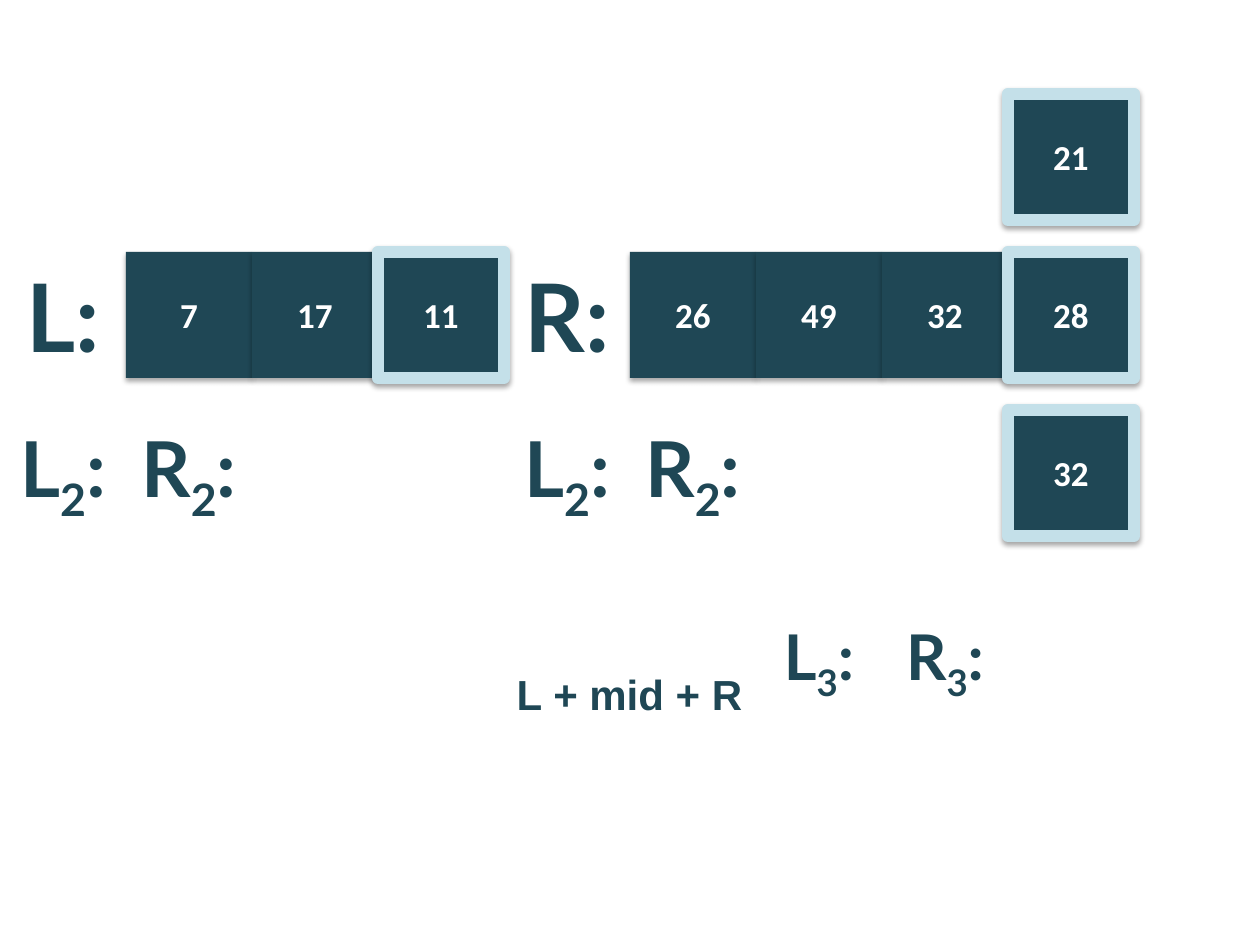
from dataclasses import dataclass

from lxml import etree
from pptx import Presentation
from pptx import util as u
from pptx.dml.color import RGBColor
from pptx.enum import shapes, text
from pptx.oxml.ns import qn

PX = u.Inches(1) / 126
CELL = 126


@dataclass(frozen=True)
class Theme:
    dark: str = "1F4755"
    pale: str = "C4E0E9"
    white: str = "FFFFFF"
    black: str = "000000"
    num_font: str = "Calibri"
    tag_font: str = "Lato"
    note_font: str = "Arial"
    num: int = 20
    note: int = 24
    small: int = 36
    mid: int = 44
    big: int = 54
    edge: int = 7


def px(n):
    return u.Emu(round(n * PX))


def write(frame, words, font, size, color, sub="", tail="",
          anchor=text.MSO_ANCHOR.MIDDLE):
    """Write centred bold text, with an optional subscript and tail."""
    frame.word_wrap = True
    frame.vertical_anchor = anchor
    para = frame.paragraphs[0]
    para.alignment = text.PP_ALIGN.CENTER
    for part, base in ((words, 0), (sub, -25000), (tail, 0)):
        if not part:
            continue
        run = para.add_run()
        run.text = part
        run.font.name = font
        run.font.size = u.Pt(size)
        run.font.bold = True
        run.font.color.rgb = RGBColor.from_string(color)
        if base:
            run.font._element.set("baseline", str(base))


class Board:
    def __init__(self, slide, theme):
        self.slide = slide
        self.theme = theme

    def shade(self, shape):
        """Give a shape a soft shadow straight below it."""
        shape.shadow.inherit = False
        effects = shape._element.spPr.find(qn("a:effectLst"))
        outer = etree.SubElement(
            effects, qn("a:outerShdw"), blurRad=str(u.Pt(3.1)),
            dist=str(u.Pt(1.8)), dir="5400000", rotWithShape="0")
        color = etree.SubElement(outer, qn("a:srgbClr"), val=self.theme.black)
        etree.SubElement(color, qn("a:alpha"), val="35000")

    def cell(self, col, top, value, framed=False):
        t = self.theme
        box = self.slide.shapes.add_shape(
            shapes.MSO_SHAPE.RECTANGLE,
            px(col * CELL), px(top), px(CELL), px(CELL))
        box.fill.solid()
        box.fill.fore_color.rgb = RGBColor.from_string(t.dark)
        if framed:
            box.line.color.rgb = RGBColor.from_string(t.pale)
            box.line.width = u.Pt(t.edge)
        else:
            box.line.fill.background()
        self.shade(box)
        write(box.text_frame, str(value), t.num_font, t.num, t.white)

    def area(self, left, top, width, height):
        return self.slide.shapes.add_textbox(
            px(left), px(top), px(width), px(height)).text_frame

    def tag(self, col, top, name, size, sub=""):
        frame = self.area(col * CELL, top, CELL, CELL)
        write(frame, name, self.theme.tag_font, size, self.theme.dark,
              sub=sub, tail=":")

    def note(self, left, top, width, height, words):
        frame = self.area(left, top, width, height)
        frame.auto_size = text.MSO_AUTO_SIZE.SHAPE_TO_FIT_TEXT
        write(frame, words, self.theme.note_font, self.theme.note,
              self.theme.dark, anchor=text.MSO_ANCHOR.TOP)


deck = Presentation()
deck.slide_width, deck.slide_height = px(1260), px(945)
theme = Theme()
board = Board(deck.slides.add_slide(deck.slide_layouts[6]), theme)

# Row tops
UPPER, MAIN, LOWER, LAST = 94, 252, 410, 598

# Plain cells of both lists
for col, value in ((1, 7), (2, 17), (5, 26), (6, 49), (7, 32)):
    board.cell(col, MAIN, value)

# Framed pivot cells
for col, top, value in ((8, UPPER, 21), (3, MAIN, 11),
                        (8, MAIN, 28), (8, LOWER, 32)):
    board.cell(col, top, value, framed=True)

# List names, one size for each level
for col, name in ((0, "L"), (4, "R")):
    board.tag(col, MAIN, name, theme.big)
for top, size, sub, starts in ((LOWER, theme.mid, "2", (0, 4)),
                               (LAST, theme.small, "3", (6,))):
    for start in starts:
        for step, name in enumerate("LR"):
            board.tag(start + step, top, name, size, sub=sub)

# Joining rule
board.note(267, 662, 725, 63, "L + mid + R")

deck.save("out.pptx")
